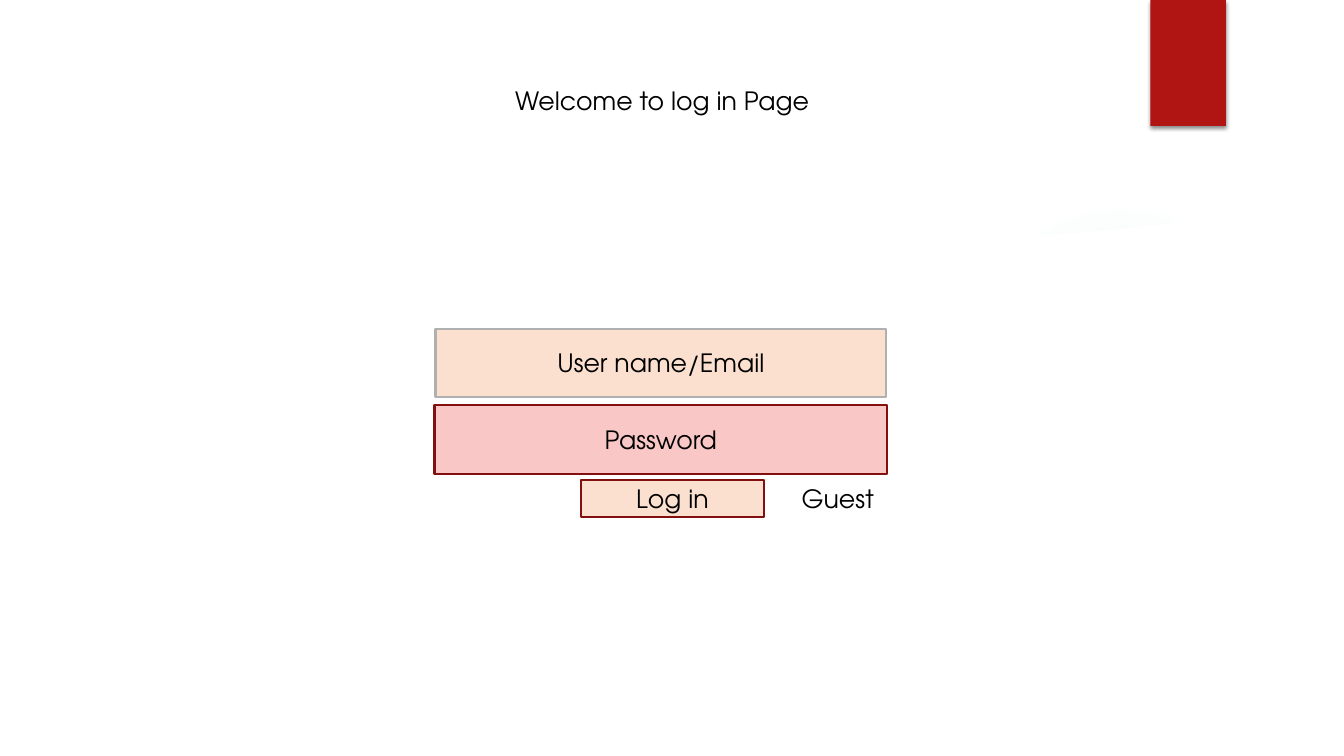
import pptx
import pptx.util
import pptx.dml.color
import pptx.enum.shapes
import pptx.enum.text
import pptx.oxml
import pptx.oxml.ns

Inches = pptx.util.Inches
SHAPES = pptx.enum.shapes.MSO_SHAPE
FONT = "TeX Gyre Adventor"
COLOURS = {
    "white": "FFFFFF", "black": "000000", "ribbon": "B01513", "teal": "5F9C9D",
    "peach": "FBE0CF", "pink": "F9C7C6", "grey": "B0B0B0", "maroon": "82100E",
}
TITLE = ("Welcome to log in Page", (5.01, 0.8, 3.32, 0.4))
RIBBON = (11.41, 0, 0.75, 1.25)
GLOWS = [
    ((9.58, 2), 3.08, [(0, 7), (36, 6), (69, 0)]),
    ((9.58, 6.42), 1.08, [(0, 14), (36, 7), (66, 0)]),
    ((0, 2.92), 4.58, [(0, 11), (36, 10), (75, 0)]),
]
WEDGE = [
    (9.34, 2.5), (10.2, 2.47), (11.5, 2.33), (12.89, 2.14), (12.83, 1.66),
    (12.36, 1.81), (11.9, 1.94), (11.44, 2.06), (10.98, 2.16), (10.53, 2.25),
    (10.1, 2.32), (9.69, 2.38), (9.3, 2.43),
]
PANEL = [
    (0.5, 2.04), (0.5, 7), (12.84, 7), (12.84, 2.04), (12.28, 2.13), (11.72, 2.2),
    (11.16, 2.27), (10.6, 2.32), (10.04, 2.37), (9.49, 2.41), (8.94, 2.44),
    (8.4, 2.46), (7.86, 2.47), (7.08, 2.48), (6.32, 2.47), (5.59, 2.46),
    (4.88, 2.43), (4.01, 2.38), (3.21, 2.33), (2.49, 2.27), (1.87, 2.21),
    (1.35, 2.15), (0.94, 2.1),
]
FRAME = [
    [(0, 0), (0, 7.5), (13.33, 7.5), (13.33, 0)],
    [(12.81, 6.98), (12.81, 0.52), (0.52, 0.52), (0.52, 6.98)][::-1],
]
FRAME[1] = [(12.81, 6.98), (12.81, 0.52), (0.52, 0.52), (0.52, 6.98)]
OUTLINES = [([WEDGE], 20), ([PANEL], 100), (FRAME, 100)]
CONTROLS = [
    ("User name/Email", SHAPES.RECTANGLE, (4.32, 3.26, 4.47, 0.68), "peach", "grey"),
    ("Password", SHAPES.RECTANGLE, (4.31, 4.02, 4.49, 0.68), "pink", "maroon"),
    ("Log in", SHAPES.RECTANGLE, (5.76, 4.76, 1.82, 0.37), "peach", "maroon"),
    ("Guest", SHAPES.ROUNDED_RECTANGLE, (7.69, 4.76, 1.24, 0.37), "white", None),
]


def colour(name):
    return pptx.dml.color.RGBColor.from_string(COLOURS[name])


def drawing(tag, content):
    return pptx.oxml.parse_xml(
        f'<a:{tag} {pptx.oxml.ns.nsdecls("a")}>{content}</a:{tag}>')


def sheer(name, percent):
    return (f'<a:srgbClr val="{COLOURS[name]}">'
            f'<a:alpha val="{percent * 1000}"/></a:srgbClr>')


def paint(shape, fill, line=None):
    shape.shadow.inherit = False
    shape.fill.solid()
    shape.fill.fore_color.rgb = colour(fill)
    if line:
        shape.line.color.rgb = colour(line)
        shape.line.width = pptx.util.Pt(1.5)
    else:
        shape.line.fill.background()


def swap(shape, tag, replacement):
    properties = shape._element.spPr
    properties.replace(properties.find(pptx.oxml.ns.qn(tag)), replacement)


def write(shape, text, align):
    shape.text_frame.word_wrap = True
    para = shape.text_frame.paragraphs[0]
    para.text = text
    para.alignment = align
    para.font.name = FONT
    para.font.size = pptx.util.Pt(18)
    para.font.color.rgb = colour("black")


def add_glow(page, corner, size, stops):
    glow = page.shapes.add_shape(SHAPES.OVAL, *map(Inches, (*corner, size, size)))
    paint(glow, "teal")
    steps = "".join(f'<a:gs pos="{at * 1000}">{sheer("teal", percent)}</a:gs>'
                    for at, percent in stops)
    swap(glow, "a:solidFill", drawing(
        "gradFill", f'<a:gsLst>{steps}</a:gsLst><a:path path="circle">'
        '<a:fillToRect l="50000" t="50000" r="50000" b="50000"/></a:path>'))


def add_outline(page, contours, percent):
    contours = [[(Inches(x), Inches(y)) for x, y in contour] for contour in contours]
    builder = page.shapes.build_freeform(*contours[0][0])
    for number, (start, *rest) in enumerate(contours):
        if number:
            builder.move_to(*start)
        builder.add_line_segments(rest, close=True)
    outline = builder.convert_to_shape()
    paint(outline, "white")
    if percent < 100:
        swap(outline, "a:solidFill", drawing("solidFill", sheer("white", percent)))


def add_ribbon(page):
    ribbon = page.shapes.add_shape(SHAPES.RECTANGLE, *map(Inches, RIBBON))
    paint(ribbon, "ribbon")
    swap(ribbon, "a:effectLst", drawing(
        "effectLst", '<a:outerShdw blurRad="38100" dist="25400" dir="5400000">'
        f'{sheer("black", 45)}</a:outerShdw>'))


def main():
    """Build the log in page and save it."""
    deck = pptx.Presentation()
    deck.slide_width, deck.slide_height = Inches(13.33), Inches(7.5)
    page = deck.slides.add_slide(deck.slide_layouts[6])

    for corner, size, stops in GLOWS:
        add_glow(page, corner, size, stops)
    for contours, percent in OUTLINES:
        add_outline(page, contours, percent)
    add_ribbon(page)

    for text, kind, place, fill, line in CONTROLS:
        control = page.shapes.add_shape(kind, *map(Inches, place))
        paint(control, fill, line)
        control.text_frame.vertical_anchor = pptx.enum.text.MSO_ANCHOR.MIDDLE
        write(control, text, pptx.enum.text.PP_ALIGN.CENTER)

    text, place = TITLE
    title = page.shapes.add_textbox(*map(Inches, place))
    write(title, text, pptx.enum.text.PP_ALIGN.LEFT)
    title.text_frame.auto_size = pptx.enum.text.MSO_AUTO_SIZE.SHAPE_TO_FIT_TEXT
    deck.save("out.pptx")


if __name__ == "__main__":
    main()
